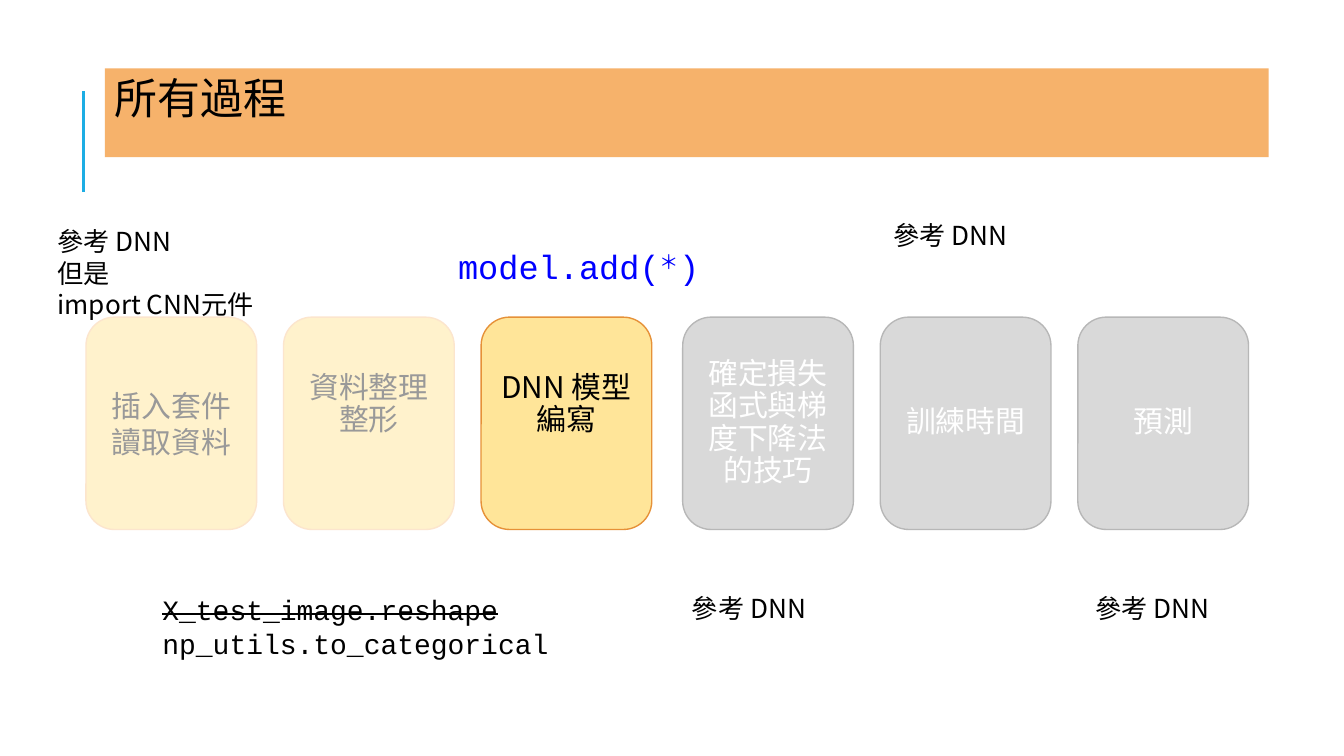
from lxml import etree
from pptx import Presentation
from pptx.dml.color import RGBColor
from pptx.enum.shapes import MSO_CONNECTOR, MSO_SHAPE
from pptx.enum.text import MSO_ANCHOR, PP_ALIGN
from pptx.oxml.ns import qn
from pptx.util import Inches, Pt

STRAIGHT = MSO_CONNECTOR.STRAIGHT
RECTANGLE = MSO_SHAPE.RECTANGLE
ROUNDED_RECTANGLE = MSO_SHAPE.ROUNDED_RECTANGLE
TOP, MIDDLE = MSO_ANCHOR.TOP, MSO_ANCHOR.MIDDLE
LEFT, CENTER = PP_ALIGN.LEFT, PP_ALIGN.CENTER

BLACK = RGBColor(0x00, 0x00, 0x00)
WHITE = RGBColor(0xFF, 0xFF, 0xFF)
CODE_BLUE = RGBColor(0x00, 0x00, 0xFF)
ACCENT_BLUE = RGBColor(0x1C, 0xAD, 0xE4)
TITLE_ORANGE = RGBColor(0xF6, 0xB2, 0x6B)
DONE_FILL = RGBColor(0xFF, 0xF2, 0xCC)
DONE_LINE = RGBColor(0xFC, 0xE5, 0xCD)
DONE_TEXT = RGBColor(0x99, 0x99, 0x99)
CURRENT_FILL = RGBColor(0xFF, 0xE5, 0x99)
CURRENT_LINE = RGBColor(0xE6, 0x91, 0x38)
LATER_FILL = RGBColor(0xD9, 0xD9, 0xD9)
LATER_LINE = RGBColor(0xB7, 0xB7, 0xB7)

SANS = "Noto Sans CJK TC"
MONO = "Courier New"

DONE = (DONE_FILL, DONE_LINE, DONE_TEXT)
CURRENT = (CURRENT_FILL, CURRENT_LINE, BLACK)
LATER = (LATER_FILL, LATER_LINE, WHITE)

# Text, style, line spacing, bottom inset; a deeper inset raises the text.
STEPS = [
    ("插入套件\n讀取資料", DONE, 1.0, 0.07),
    ("資料整理整形", DONE, 0.9, 0.34),
    ("DNN 模型編寫", CURRENT, 0.9, 0.34),
    ("確定損失函式與梯度下降法的技巧", LATER, 0.9, 0.07),
    ("訓練時間", LATER, 0.9, 0.07),
    ("預測", LATER, 0.9, 0.07),
]
STEP_LEFT, STEP_PITCH = 0.64, 1.47
LATER_OFFSET = 0.03

REFERENCE = "參考 DNN"
# Text, left, top, width, height
NOTES = [
    (REFERENCE + "\n但是\nimport CNN元件", 0.33, 1.58, 2.29, 0.77),
    (REFERENCE, 5.05, 4.31, 1.33, 0.54),
    (REFERENCE, 6.55, 1.53, 1.33, 0.54),
    (REFERENCE, 8.05, 4.31, 1.33, 0.54),
]


def format_run(run, size, font_name, color):
    """Set the font for both Latin and East Asian characters."""
    run.font.size = Pt(size)
    run.font.name = font_name
    run.font.color.rgb = color
    east_asian = etree.Element(qn("a:ea"), typeface=font_name)
    run.font._element.find(qn("a:latin")).addnext(east_asian)


def format_text(shape, size, font_name, color, inset, alignment=LEFT,
                anchor=TOP, line_spacing=1.0):
    frame = shape.text_frame
    frame.word_wrap = True
    frame.vertical_anchor = anchor
    frame.margin_left = frame.margin_right = Inches(inset)
    frame.margin_top = frame.margin_bottom = Inches(inset)
    for paragraph in frame.paragraphs:
        paragraph.alignment = alignment
        paragraph.line_spacing = line_spacing
        for run in paragraph.runs:
            format_run(run, size, font_name, color)


def add_box(slide, preset, left, top, width, height, fill, line=None):
    shape = slide.shapes.add_shape(
        preset, Inches(left), Inches(top), Inches(width), Inches(height))
    shape.shadow.inherit = False
    shape.fill.solid()
    shape.fill.fore_color.rgb = fill
    if line is None:
        shape.line.fill.background()
    else:
        shape.line.color.rgb = line
        shape.line.width = Pt(0.75)
    return shape


def add_title(slide):
    bar = add_box(slide, RECTANGLE, 0.78, 0.51, 8.66, 0.66, TITLE_ORANGE)
    bar.text_frame.text = "所有過程"
    format_text(bar, 23, SANS, BLACK, 0.07, line_spacing=0.9)


def add_accent_line(slide):
    line = slide.shapes.add_connector(
        STRAIGHT, Inches(0.62), Inches(1.43), Inches(0.62), Inches(0.68))
    line.line.color.rgb = ACCENT_BLUE
    line.line.width = Pt(1.5)
    etree.SubElement(line._element.spPr, qn("a:effectLst"))


def add_step(slide, left, text, style, line_spacing, bottom_inset):
    fill, line, color = style
    step = add_box(slide, ROUNDED_RECTANGLE, left, 2.36, 1.27, 1.58, fill, line)
    step.text_frame.text = text
    format_text(step, 16, SANS, color, 0.07, CENTER, MIDDLE, line_spacing)
    step.text_frame.margin_bottom = Inches(bottom_inset)


def add_note(slide, text, left, top, width, height,
             size=14, font_name=SANS, color=BLACK):
    note = slide.shapes.add_textbox(
        Inches(left), Inches(top), Inches(width), Inches(height))
    note.text_frame.text = text
    format_text(note, size, font_name, color, 0.1)
    return note


def add_reshape_code(slide):
    note = add_note(slide, "X_test_image.reshape\nnp_utils.to_categorical",
                    1.11, 4.31, 3.28, 0.92, 15, MONO)
    dropped_call = note.text_frame.paragraphs[0].runs[0]
    dropped_call.font._element.set("strike", "sngStrike")


def add_model_code(slide):
    note = add_note(slide, "model.add(", 3.31, 1.73, 2.29, 0.54,
                    18, MONO, CODE_BLUE)
    paragraph = note.text_frame.paragraphs[0]
    for text in ("＊", ")"):
        run = paragraph.add_run()
        run.text = text
        format_run(run, 18, MONO, CODE_BLUE)
    paragraph.runs[1].font._element.set("baseline", "30000")


def main():
    presentation = Presentation()
    presentation.slide_width = Inches(10)
    presentation.slide_height = Inches(10) * 9 // 16
    slide = presentation.slides.add_slide(presentation.slide_layouts[6])

    add_accent_line(slide)
    add_title(slide)
    for index, (text, style, line_spacing, bottom_inset) in enumerate(STEPS):
        left = STEP_LEFT + index * STEP_PITCH
        if style is LATER:
            left += LATER_OFFSET
        add_step(slide, left, text, style, line_spacing, bottom_inset)
    for note in NOTES:
        add_note(slide, *note)
    add_reshape_code(slide)
    add_model_code(slide)

    presentation.save("out.pptx")


if __name__ == "__main__":
    main()
